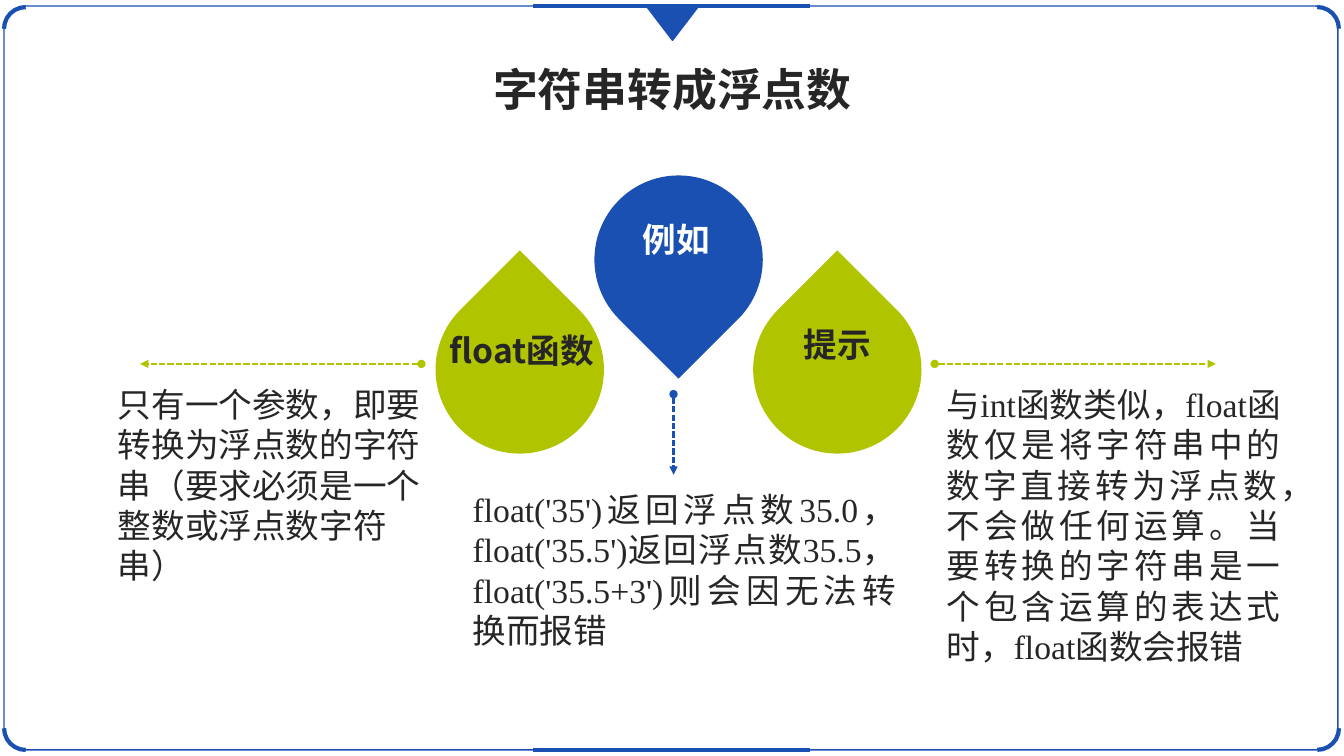
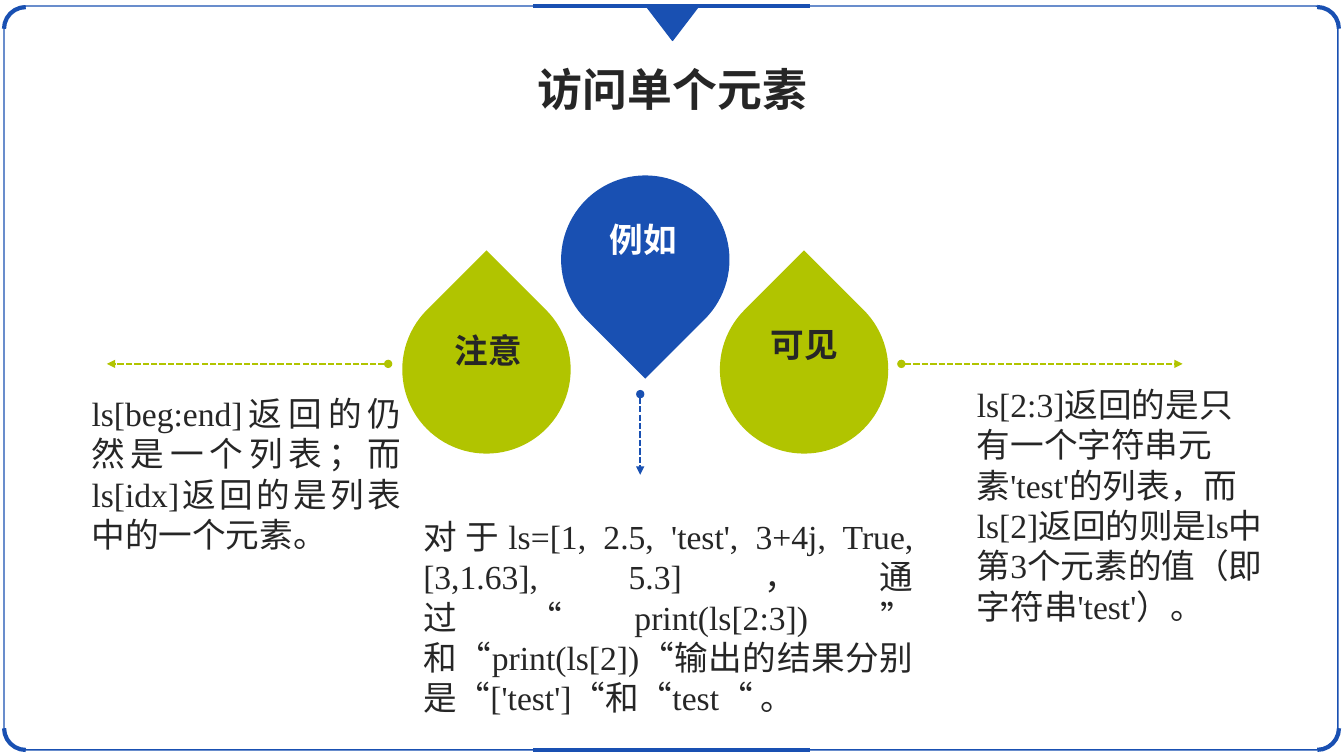
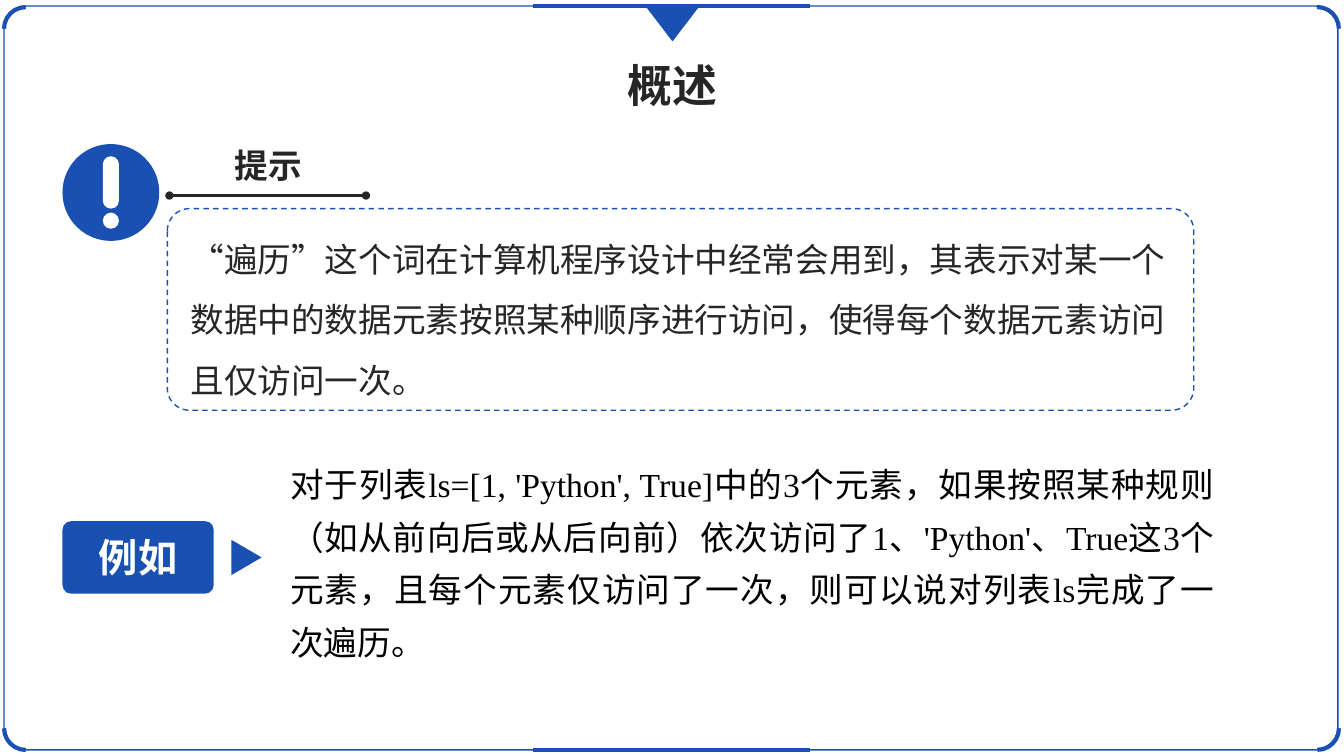
import dataclasses

import lxml.etree
import pptx
import pptx.dml.color
import pptx.enum.dml
import pptx.enum.lang
import pptx.enum.shapes
import pptx.enum.text
import pptx.oxml.ns
import pptx.util

Inches = pptx.util.Inches
SHAPE = pptx.enum.shapes.MSO_SHAPE
DASH = pptx.enum.dml.MSO_LINE
ALIGN = pptx.enum.text.PP_ALIGN
ANCHOR = pptx.enum.text.MSO_ANCHOR
rgb = pptx.dml.color.RGBColor.from_string
qn = pptx.oxml.ns.qn


@dataclasses.dataclass(frozen=True)
class Theme:
    blue = rgb("1950B2")
    green = rgb("B1C400")
    ink = rgb("262626")
    black = rgb("000000")
    white = rgb("FFFFFF")
    sans = "Noto Sans CJK SC"
    serif = "Times New Roman"
    title_size = 32
    badge_size = 28
    text_size = 24


theme = Theme()


@dataclasses.dataclass(frozen=True)
class TextStyle:
    size: int = theme.text_size
    color: object = theme.ink
    latin: str = theme.serif
    bold: bool = False
    align: object = ALIGN.LEFT
    anchor: object = ANCHOR.TOP
    spacing: float = 1.0
    margins: tuple = (0.1, 0.05)


body = TextStyle()
justified = TextStyle(align=ALIGN.JUSTIFY)
label = TextStyle(latin=theme.sans, bold=True, align=ALIGN.CENTER)
light_label = dataclasses.replace(label, color=theme.white)
heading = dataclasses.replace(label, size=theme.title_size)
badge = dataclasses.replace(light_label, size=theme.badge_size, anchor=ANCHOR.MIDDLE)
tip = TextStyle(spacing=1.5, margins=(0.06, 0.03))
example = TextStyle(color=theme.black, align=ALIGN.JUSTIFY, anchor=ANCHOR.MIDDLE, spacing=1.3)


def add_shape(shapes, kind, at, fill=None, outline=None, weight=1, rotation=0, corner=None):
    shape = shapes.add_shape(kind, *map(Inches, at))
    shape.shadow.inherit = False
    shape.rotation = rotation
    if corner is not None:
        shape.adjustments[0] = corner
    if fill is None:
        shape.fill.background()
    else:
        shape.fill.solid()
        shape.fill.fore_color.rgb = fill
    if outline is None:
        shape.line.fill.background()
    else:
        shape.line.color.rgb = outline
        shape.line.width = pptx.util.Pt(weight)
    return shape


def add_line(shapes, ends, color, weight=1.5, dash=None, head=None, tail=None):
    """Draw a straight line; head is the mark at its start, tail the mark at its end."""
    straight = pptx.enum.shapes.MSO_CONNECTOR.STRAIGHT
    line = shapes.add_connector(straight, *map(Inches, ends))
    line.line.color.rgb = color
    line.line.width = pptx.util.Pt(weight)
    if dash is not None:
        line.line.dash_style = dash
    outline = line.element.spPr.find(qn("a:ln"))
    for tag, mark in (("a:headEnd", head), ("a:tailEnd", tail)):
        if mark:
            lxml.etree.SubElement(outline, qn(tag), type=mark)
    lxml.etree.SubElement(line.element.spPr, qn("a:effectLst"))


deck = pptx.Presentation()
deck.slide_width, deck.slide_height = Inches(13.33), Inches(7.5)
layout = deck.slide_layouts.get_by_name("Title Only")
for holder in list(layout.placeholders):
    if holder.placeholder_format.type != pptx.enum.shapes.PP_PLACEHOLDER.TITLE:
        holder.element.getparent().remove(holder.element)

# Shared frame, drawn once and moved to the layout
pages = [deck.slides.add_slide(layout) for _ in range(3)]
frame = pages[0].shapes
add_shape(frame, SHAPE.ROUNDED_RECTANGLE, (0.04, 0.06, 13.23, 7.38), outline=theme.blue, corner=0.03)
for left, top, rotation in ((0.04, 0.07, 270), (12.85, 0.07, 0), (12.85, 7.01, 90), (0.04, 7.01, 180)):
    add_shape(frame, SHAPE.ARC, (left, top, 0.43, 0.43), outline=theme.blue, weight=3, rotation=rotation)
for y in (0.06, 7.44):
    add_line(frame, (5.29, y, 8.03, y), theme.blue, weight=3)
add_shape(frame, SHAPE.ISOSCELES_TRIANGLE, (6.41, 0.06, 0.52, 0.34), theme.blue, theme.blue, rotation=180)
for part in list(frame):
    if not part.is_placeholder:
        layout.shapes.element.append(part.element)

# Every text is listed as (page, place, words, style); no place means the title
texts = []
for page, (words, top) in zip(pages, (("字符串转成浮点数", 0.56), ("访问单个元素", 0.56), ("概述", 0.52))):
    title = page.shapes.title
    title.left, title.top, title.width, title.height = map(Inches, (0.67, top, 12, 0.64))
    texts.append((page, None, words, heading))

# Droplet slides: left edge of the droplets, their labels, and the text blocks
droplet_slides = (
    (4.32, ("float函数", "例如", "提示"), (
        ((1.07, 3.76, 3.28, 1.72), body,
         "只有一个参数，即要转换为浮点数的字符串（要求必须是一个整数或浮点数字符串）"),
        ((4.59, 4.8, 4.4, 1.72), justified,
         "float('35')返回浮点数35.0，float('35.5')返回浮点数35.5，"
         "float('35.5+3')则会因无法转换而报错"),
        ((9.29, 3.76, 3.51, 2.93), justified,
         "与int函数类似，float函数仅是将字符串中的数字直接转为浮点数，不会做任何运算。"
         "当要转换的字符串是一个包含运算的表达式时，float函数会报错"),
    )),
    (3.99, ("注意", "例如", "可见"), (
        ((0.81, 3.85, 3.27, 1.72), justified,
         "ls[beg:end]返回的仍然是一个列表；而ls[idx]返回的是列表中的一个元素。"),
        ((4.1, 5.07, 5.06, 1.72), justified,
         "对于ls=[1, 2.5, 'test', 3+4j, True, [3,1.63], 5.3]，通过“print(ls[2:3])” "
         "和“print(ls[2])“输出的结果分别是“['test']“和“test“ 。"),
        ((9.59, 3.76, 3.03, 2.52), body,
         "ls[2:3]返回的是只有一个字符串元素'test'的列表，而ls[2]返回的则是ls中第3个元素的值"
         "（即字符串'test'）。"),
    )),
)
droplet_size, droplet_step = 1.67, 1.575
# Droplet top, rotation, fill, label shift, label top, label style, arrow ends from the left edge
droplets = (
    (2.83, 315, theme.green, 0.02, 3.22, label, (-0.14, 3.61, -2.93, 3.61)),
    (1.74, 135, theme.blue, -0.02, 2.12, light_label, (2.36, 3.91, 2.36, 4.71)),
    (2.83, 315, theme.green, 0, 3.16, label, (4.95, 3.61, 7.74, 3.61)),
)
for page, (start, names, blocks) in zip(pages, droplet_slides):
    for index, (top, rotation, fill, shift, label_top, style, arrow) in enumerate(droplets):
        left = start + index * droplet_step
        add_shape(page.shapes, SHAPE.TEAR, (left, top, droplet_size, droplet_size), fill, rotation=rotation)
        x1, y1, x2, y2 = arrow
        add_line(page.shapes, (start + x1, y1, start + x2, y2), fill,
                 dash=DASH.SQUARE_DOT, head="oval", tail="triangle")
        texts.append((page, (left + shift, label_top, droplet_size, 0.5), names[index], style))
    texts += [(page, place, words, style) for place, style, words in blocks]

# Overview slide
overview = pages[2]
tip_frame = add_shape(overview.shapes, SHAPE.ROUNDED_RECTANGLE, (1.66, 2.07, 10.18, 2),
                      outline=theme.blue, corner=0.11)
tip_frame.line.dash_style = DASH.DASH
add_line(overview.shapes, (1.68, 1.94, 3.63, 1.94), theme.ink, head="oval", tail="oval")
add_shape(overview.shapes, SHAPE.OVAL, (0.62, 1.43, 0.96, 0.96), theme.blue)
add_shape(overview.shapes, SHAPE.ROUNDED_RECTANGLE, (1.02, 1.55, 0.16, 0.52), theme.white, corner=0.5)
add_shape(overview.shapes, SHAPE.OVAL, (1.02, 2.11, 0.16, 0.16), theme.white)
add_shape(overview.shapes, SHAPE.ROUNDED_RECTANGLE, (0.62, 5.17, 1.5, 0.72), theme.blue, corner=0.12)
add_shape(overview.shapes, SHAPE.ISOSCELES_TRIANGLE, (2.27, 5.38, 0.35, 0.3), theme.blue, rotation=90)
texts += [
    (overview, (2.22, 1.39, 0.88, 0.5), "提示", label),
    (overview, (1.83, 2.14, 9.95, 1.81),
     "“遍历”这个词在计算机程序设计中经常会用到，其表示对某一个数据中的数据元素"
     "按照某种顺序进行访问，使得每个数据元素访问且仅访问一次。", tip),
    (overview, (0.67, 5.24, 1.4, 0.57), "例如", badge),
    (overview, (2.78, 4.45, 9.36, 2.15),
     "对于列表ls=[1, 'Python', True]中的3个元素，如果按照某种规则（如从前向后或从后向前）"
     "依次访问了1、'Python'、True这3个元素，且每个元素仅访问了一次，则可以说对列表ls完成了一次遍历。",
     example),
]

for page, place, words, style in texts:
    box = page.shapes.add_textbox(*map(Inches, place)) if place else page.shapes.title
    text = box.text_frame
    text.word_wrap = True
    text.auto_size = pptx.enum.text.MSO_AUTO_SIZE.NONE
    text.vertical_anchor = style.anchor
    text.margin_left = text.margin_right = Inches(style.margins[0])
    text.margin_top = text.margin_bottom = Inches(style.margins[1])
    para = text.paragraphs[0]
    para.alignment = style.align
    para.line_spacing = style.spacing
    span = para.add_run()
    span.text = words
    span.font.size = pptx.util.Pt(style.size)
    span.font.bold = style.bold
    span.font.color.rgb = style.color
    span.font.name = style.latin
    span.font.language_id = pptx.enum.lang.MSO_LANGUAGE_ID.SIMPLIFIED_CHINESE
    lxml.etree.SubElement(span.font._element, qn("a:ea"), typeface=theme.sans)

deck.save("out.pptx")
